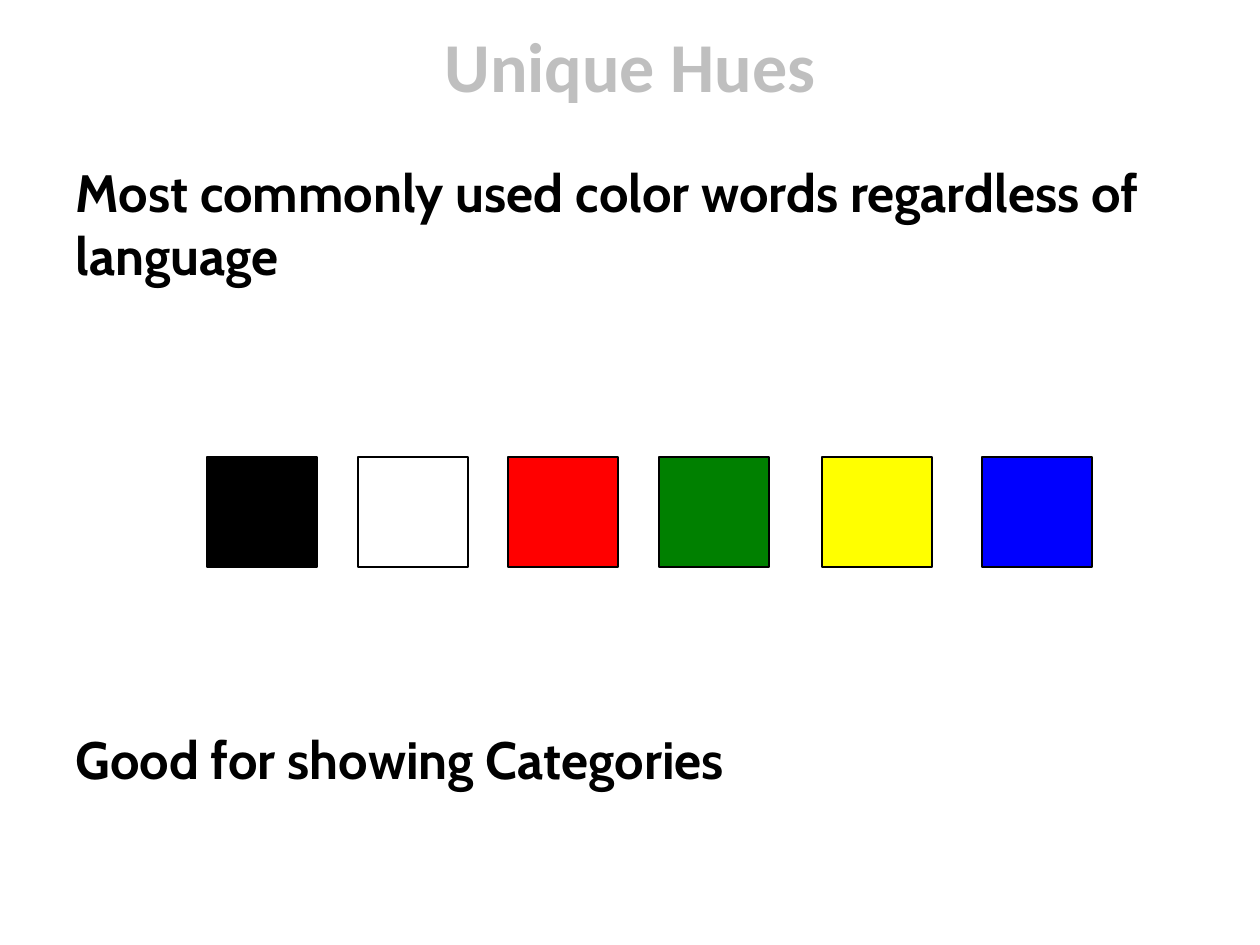
from lxml.etree import SubElement
from pptx import Presentation
from pptx.dml.color import RGBColor as RGB
from pptx.enum.shapes import MSO_SHAPE as Shape
from pptx.enum.text import MSO_ANCHOR as Anchor, MSO_AUTO_SIZE as AutoSize, PP_ALIGN as Align
from pptx.oxml.ns import qn
from pptx.util import Emu, Pt

COLORS = {
    "title": "BFBFBF", "text": "000000", "outline": "000000",
    "black": "000000", "white": "FFFFFF", "red": "FF0000",
    "green": "008000", "yellow": "FFFF00", "blue": "0000FF",
}
HUE_LEFTS = {"black": 0, "white": 151, "red": 301, "green": 452, "yellow": 615, "blue": 775}


def px(length):
    """Turn pixels into EMU at 126 pixels to the inch."""
    return Emu(round(length * 914400 / 126))


def place(placeholder, box, anchor):
    """Move a placeholder into its box and return its text frame."""
    placeholder.left, placeholder.top, placeholder.width, placeholder.height = map(px, box)
    frame = placeholder.text_frame
    frame.auto_size = AutoSize.NONE
    frame.vertical_anchor = anchor
    return frame


def style(paragraph, face, size, color, align):
    """Set the bold type and alignment of a paragraph."""
    paragraph.alignment = align
    font = paragraph.font
    font.name, font.size, font.bold = face, Pt(size), True
    font.color.rgb = RGB.from_string(COLORS[color])


def add_heading(slide, box, heading):
    """Fill the title placeholder."""
    frame = place(slide.shapes.title, box, Anchor.MIDDLE)
    frame.text = heading
    style(frame.paragraphs[0], "Calibri", 40, "title", Align.CENTER)


def add_statements(slide, box, statements, gap):
    """Fill the body placeholder with unbulleted statements, gap points apart."""
    frame = place(slide.placeholders[1], box, Anchor.TOP)
    frame.text = "\n".join(statements)
    for index, statement in enumerate(frame.paragraphs):
        properties = statement._p.get_or_add_pPr()
        properties.set("marL", "0")
        properties.set("indent", "0")
        SubElement(properties, qn("a:buNone"))
        statement.space_before = Pt(gap if index else 0)
        style(statement, "Cabin", 30, "text", Align.LEFT)


def add_hues(slide, box):
    """Draw the row of outlined hue squares, as tall as the box."""
    left, top, _, side = box
    for hue, offset in HUE_LEFTS.items():
        swatch = slide.shapes.add_shape(
            Shape.RECTANGLE, px(left + offset), px(top), px(side), px(side))
        swatch.shadow.inherit = False
        swatch.fill.solid()
        swatch.fill.fore_color.rgb = RGB.from_string(COLORS[hue])
        swatch.line.color.rgb = RGB.from_string(COLORS["outline"])
        swatch.line.width = Pt(0.75)


def main():
    """Build and save the slide."""
    deck = Presentation()
    deck.slide_width, deck.slide_height = px(1260), px(945)
    slide = deck.slides.add_slide(deck.slide_layouts[1])
    add_heading(slide, (63, 14, 1134, 102), "Unique Hues")
    add_statements(slide, (63, 154, 1134, 654), [
        "Most commonly used color words regardless of language",
        "Good for showing Categories",
    ], 252)
    add_hues(slide, (207, 457, 885, 110))
    deck.save("out.pptx")


if __name__ == "__main__":
    main()
